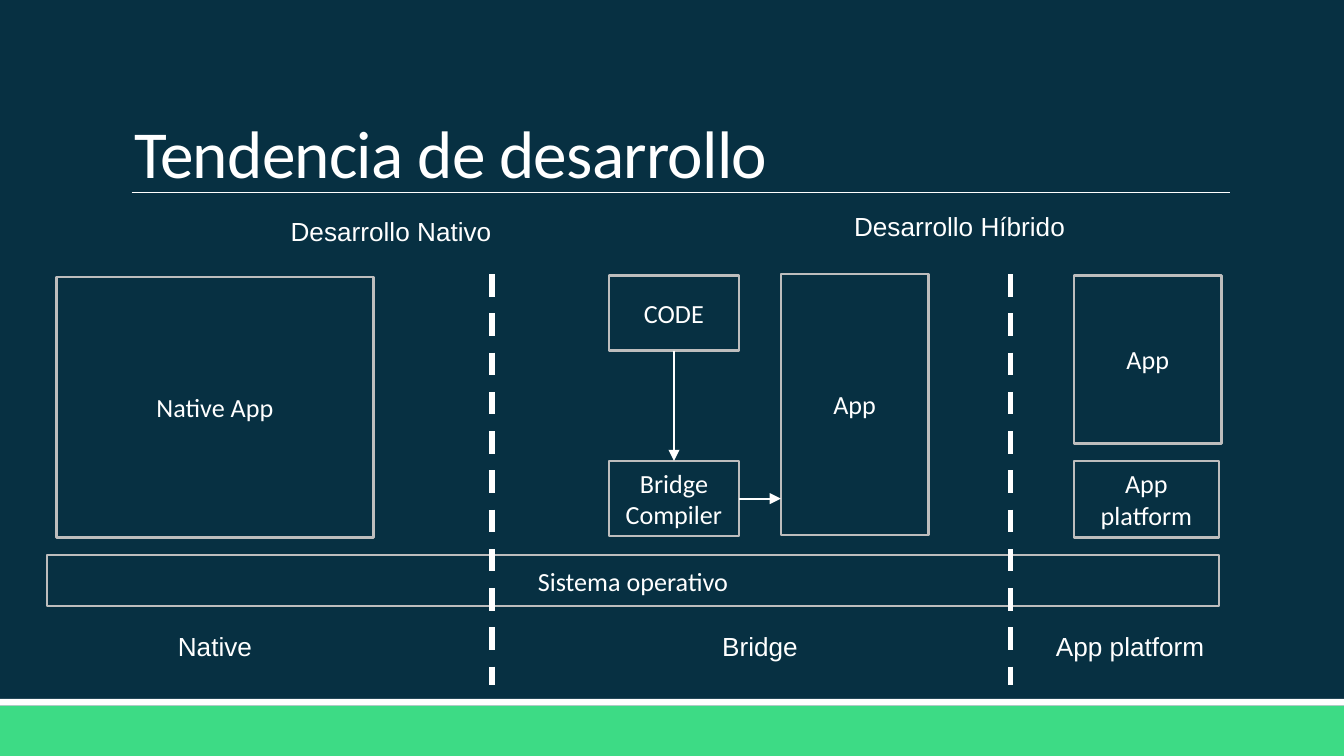
"""Build a slide comparing native, bridge and app platform development."""
import pptx
import pptx.util
import pptx.dml.color
import pptx.enum.dml
import pptx.enum.shapes
import pptx.enum.text
import pptx.oxml

Pt = pptx.util.Pt
RGBColor = pptx.dml.color.RGBColor
RECT = pptx.enum.shapes.MSO_SHAPE.RECTANGLE
STRAIGHT = pptx.enum.shapes.MSO_CONNECTOR.STRAIGHT
ANCHOR = pptx.enum.text.MSO_ANCHOR
ALIGN = pptx.enum.text.PP_ALIGN
NS = 'xmlns:a="http://schemas.openxmlformats.org/drawingml/2006/main"'
NAVY = RGBColor(0x07, 0x30, 0x42)
GREEN = RGBColor(0x3D, 0xDB, 0x85)
GRAY = RGBColor(0xBD, 0xBD, 0xBD)
WHITE = RGBColor(0xFF, 0xFF, 0xFF)

prs = pptx.Presentation()
prs.slide_width = pptx.util.Inches(10)
prs.slide_height = pptx.util.Inches(5.625)
UNIT = prs.slide_width / 100
s = prs.slides.add_slide(prs.slide_layouts[6])
s.background.fill.solid()
s.background.fill.fore_color.rgb = NAVY


def grid(*cells):
    return [round(c * UNIT) for c in cells]


def write(sp, text, font, size, align):
    tf = sp.text_frame
    tf.word_wrap = True
    tf.text = text
    for p in tf.paragraphs:
        p.alignment = align
        for r in p.runs:
            r.font.name = font
            r.font.size = Pt(size)
            r.font.color.rgb = WHITE
    return tf


for top, height, color in [(52.5, 3.75, GREEN), (52, 0.5, WHITE)]:
    sp = s.shapes.add_shape(RECT, *grid(0, top, 100, height))
    sp.shadow.inherit = False
    sp.fill.solid()
    sp.fill.fore_color.rgb = color
    sp.line.fill.background()

sp = s.shapes.add_textbox(*grid(9, 2.4, 82.5, 11.9))
tf = write(sp, "Tendencia de desarrollo", "Calibri", 36, ALIGN.LEFT)
tf.vertical_anchor = ANCHOR.BOTTOM
tf.margin_left = tf.margin_right = grid(1)[0]
tf.margin_bottom = 0
tf.paragraphs[0].runs[0].font._element.set("spc", "-40")

labels = [
    ("Desarrollo Nativo", 9, 15.5, 40.2),
    ("Desarrollo Híbrido", 51.3, 15.2, 40.2),
    ("Native", 8.5, 46.4, 15),
    ("Bridge", 52.5, 46.4, 8.1),
    ("App platform", 76.6, 46.4, 15),
]
for text, left, top, width in labels:
    sp = s.shapes.add_textbox(*grid(left, top, width, 3.4))
    write(sp, text, "Arial", 14, ALIGN.CENTER)

boxes = [
    ("Sistema operativo", 3.5, 41.3, 87.2, 3.8),
    ("App platform", 79.9, 34.3, 10.8, 5.7),
    ("App", 79.9, 20.5, 11, 12.5),
    ("Bridge\nCompiler", 45.3, 34.3, 9.7, 5.6),
    ("CODE", 45.3, 20.5, 9.7, 5.6),
    ("App", 58.1, 20.4, 11, 19.4),
    ("Native App", 4.2, 20.6, 23.6, 19.4),
]
drawn = {}
for text, *place in boxes:
    sp = s.shapes.add_shape(RECT, *grid(*place))
    sp.shadow.inherit = False
    sp.fill.solid()
    sp.fill.fore_color.rgb = NAVY
    sp.line.color.rgb = GRAY
    sp.line.width = Pt(1.25)
    write(sp, text, "Calibri", 14, ALIGN.CENTER).vertical_anchor = ANCHOR.MIDDLE
    drawn[text] = sp

lines = [
    ("rule", 9.8, 14.3, 91.5, 14.3, 0.5),
    ("compile", 50.15, 26.1, 50.15, 34.3, 1),
    ("deliver", 55, 37.1, 58.1, 37.1, 1),
    ("divider", 36.6, 20.4, 36.6, 51, 3),
    ("divider", 75.2, 20.4, 75.2, 51, 3),
]
for role, *ends, width in lines:
    cx = s.shapes.add_connector(STRAIGHT, *grid(*ends))
    cx.line.color.rgb = WHITE
    cx.line.width = Pt(width)
    if role == "compile":
        cx.begin_connect(drawn["CODE"], 2)
        cx.end_connect(drawn["Bridge\nCompiler"], 0)
    if role == "deliver":
        cx.begin_connect(drawn["Bridge\nCompiler"], 3)
    if role == "divider":
        cx.line.dash_style = pptx.enum.dml.MSO_LINE.DASH
    if role in ("compile", "deliver"):
        ln = cx.line._get_or_add_ln()
        ln.append(pptx.oxml.parse_xml(f'<a:tailEnd {NS} type="triangle"/>'))
    cx._element.spPr.append(pptx.oxml.parse_xml(f"<a:effectLst {NS}/>"))

prs.save("out.pptx")
